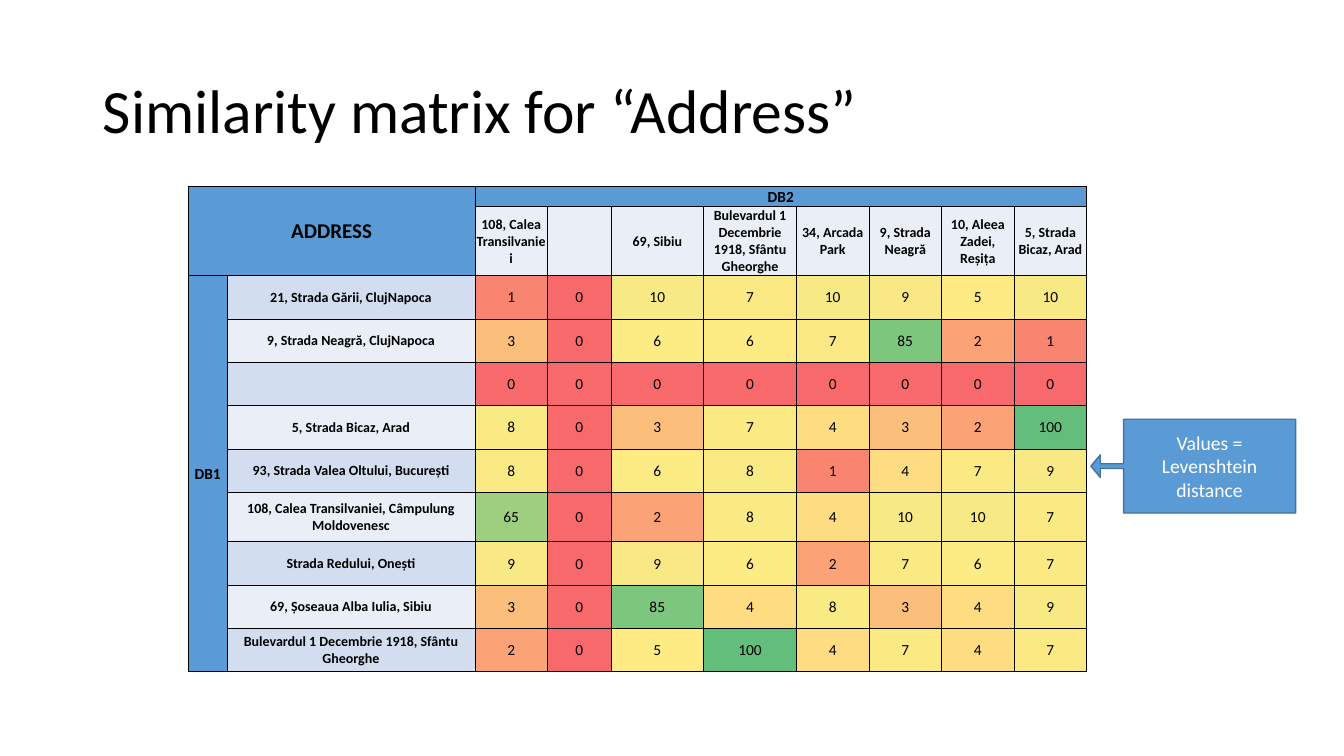
from dataclasses import dataclass
from typing import NamedTuple

from lxml import etree
from pptx import Presentation
from pptx.dml.color import RGBColor
from pptx.enum.shapes import MSO_SHAPE
from pptx.enum.text import MSO_ANCHOR, MSO_AUTO_SIZE, PP_ALIGN
from pptx.oxml.ns import qn
from pptx.util import Inches, Pt

LEFT, CENTER = PP_ALIGN.LEFT, PP_ALIGN.CENTER
MIDDLE = MSO_ANCHOR.MIDDLE
NO_FIT = MSO_AUTO_SIZE.NONE
CALLOUT = MSO_SHAPE.LEFT_ARROW_CALLOUT


@dataclass(frozen=True)
class Theme:
    font: str = "Calibri"
    black: str = "000000"
    white: str = "FFFFFF"
    blue: str = "5B9BD5"
    outline: str = "43739E"
    light: str = "EAEFF7"
    band: str = "D2DEEF"
    title_size: int = 44
    corner_size: int = 15
    callout_size: int = 14
    value_size: int = 11
    label_size: int = 10


class Record(NamedTuple):
    address: str
    scores: tuple[int, ...]


THEME = Theme()

# Red-yellow-green scale by similarity score
HEAT = {0: "F8696B", 1: "F98570", 2: "FBA276", 3: "FCBF7B", 4: "FEDC81",
        5: "FFEB84", 6: "FDEB84", 7: "FBEA84", 8: "FAEA84", 9: "F8E984",
        10: "F7E984", 65: "9DCF7F", 85: "7CC67D", 100: "63BE7B"}

DB2_ADDRESSES = ("108, Calea Transilvaniei", "", "69, Sibiu",
                 "Bulevardul 1 Decembrie 1918, Sfântu Gheorghe",
                 "34, Arcada Park", "9, Strada Neagră",
                 "10, Aleea Zadei, Reșița", "5, Strada Bicaz, Arad")
DB1_RECORDS = (
    Record("21, Strada Gării, ClujNapoca", (1, 0, 10, 7, 10, 9, 5, 10)),
    Record("9, Strada Neagră, ClujNapoca", (3, 0, 6, 6, 7, 85, 2, 1)),
    Record("", (0, 0, 0, 0, 0, 0, 0, 0)),
    Record("5, Strada Bicaz, Arad", (8, 0, 3, 7, 4, 3, 2, 100)),
    Record("93, Strada Valea Oltului, București", (8, 0, 6, 8, 1, 4, 7, 9)),
    Record("108, Calea Transilvaniei, Câmpulung Moldovenesc",
           (65, 0, 2, 8, 4, 10, 10, 7)),
    Record("Strada Redului, Onești", (9, 0, 9, 6, 2, 7, 6, 7)),
    Record("69, Șoseaua Alba Iulia, Sibiu", (3, 0, 85, 4, 8, 3, 4, 9)),
    Record("Bulevardul 1 Decembrie 1918, Sfântu Gheorghe",
           (2, 0, 5, 100, 4, 7, 4, 7)),
)
COL_WIDTHS = (0.38, 2.46, 0.72, 0.63, 0.92, 0.92) + (0.72,) * 4
ROW_HEIGHTS = (0.19, 0.65) + (0.43,) * 5 + (0.49,) + (0.43,) * 3
HEADER_ROWS = HEADER_COLS = 2


def set_attrs(obj, values: dict) -> None:
    for name, value in values.items():
        setattr(obj, name, value)


def write(tf, text: str, size: int, color: str, align=CENTER,
          bold: bool = False) -> None:
    p = tf.paragraphs[0]
    p.alignment = align
    if text:
        r = p.add_run()
        r.text = text
        set_attrs(r.font, {"name": THEME.font, "size": Pt(size), "bold": bold})
        r.font.color.rgb = RGBColor.from_string(color)


def add_borders(cell) -> None:
    tc_pr = cell._tc.get_or_add_tcPr()
    for side in ("a:lnL", "a:lnR", "a:lnT", "a:lnB"):
        ln = etree.SubElement(tc_pr, qn(side), w=str(Pt(0.5)))
        fill = etree.SubElement(ln, qn("a:solidFill"))
        etree.SubElement(fill, qn("a:srgbClr"), val=THEME.black)


def fill_cell(cell, text: str, color: str, size: int = THEME.label_size,
              bold: bool = True) -> None:
    set_attrs(cell, {"margin_left": Inches(0.01), "margin_right": Inches(0.01),
                     "margin_top": Inches(0.01), "margin_bottom": 0,
                     "vertical_anchor": MIDDLE})
    cell.fill.solid()
    cell.fill.fore_color.rgb = RGBColor.from_string(color)
    write(cell.text_frame, text, size, THEME.black, bold=bold)


def add_title(s) -> None:
    title = s.shapes.title
    set_attrs(title, {"left": Inches(0.92), "top": Inches(0.4),
                      "width": Inches(11.5), "height": Inches(1.45)})
    tf = title.text_frame
    set_attrs(tf, {"vertical_anchor": MIDDLE, "auto_size": NO_FIT,
                   "word_wrap": True})
    write(tf, "Similarity matrix for “Address”", THEME.title_size,
          THEME.black, LEFT)
    tf.paragraphs[0].line_spacing = 0.9


def add_matrix(s) -> None:
    table = s.shapes.add_table(
        len(ROW_HEIGHTS), len(COL_WIDTHS), Inches(1.87), Inches(1.85),
        Inches(sum(COL_WIDTHS)), Inches(sum(ROW_HEIGHTS))).table
    for col, width in zip(table.columns, COL_WIDTHS):
        col.width = Inches(width)
    for row, height in zip(table.rows, ROW_HEIGHTS):
        row.height = Inches(height)
    for cell in table.iter_cells():
        add_borders(cell)

    # Merged headings
    last_row, last_col = len(ROW_HEIGHTS) - 1, len(COL_WIDTHS) - 1
    for text, size, start, end in (
            ("ADDRESS", THEME.corner_size, (0, 0), (1, 1)),
            ("DB2", THEME.value_size, (0, HEADER_COLS), (0, last_col)),
            ("DB1", THEME.value_size, (HEADER_ROWS, 0), (last_row, 0))):
        cell = table.cell(*start)
        cell.merge(table.cell(*end))
        fill_cell(cell, text, THEME.blue, size)

    # Addresses and scores
    for j, address in enumerate(DB2_ADDRESSES, HEADER_COLS):
        fill_cell(table.cell(1, j), address, THEME.light)
    for i, record in enumerate(DB1_RECORDS, HEADER_ROWS):
        fill_cell(table.cell(i, 1), record.address,
                  THEME.light if i % 2 else THEME.band)
        for j, score in enumerate(record.scores, HEADER_COLS):
            fill_cell(table.cell(i, j), str(score), HEAT[score],
                      THEME.value_size, bold=False)


def add_callout(s) -> None:
    sp = s.shapes.add_shape(CALLOUT, Inches(10.82), Inches(4.16),
                            Inches(2.03), Inches(0.93))
    for i, value in enumerate((0.05, 0.12, 0.1, 0.84)):
        sp.adjustments[i] = value
    sp.shadow.inherit = False
    sp.fill.solid()
    sp.fill.fore_color.rgb = RGBColor.from_string(THEME.blue)
    sp.line.color.rgb = RGBColor.from_string(THEME.outline)
    sp.line.width = Pt(1)
    set_attrs(sp.text_frame, {"word_wrap": True, "vertical_anchor": MIDDLE})
    write(sp.text_frame, "Values = Levenshtein distance",
          THEME.callout_size, THEME.white)


prs = Presentation()
set_attrs(prs, {"slide_width": Inches(13.33), "slide_height": Inches(7.5)})
s = prs.slides.add_slide(prs.slide_layouts[5])
add_title(s)
add_callout(s)
add_matrix(s)
prs.save("out.pptx")
